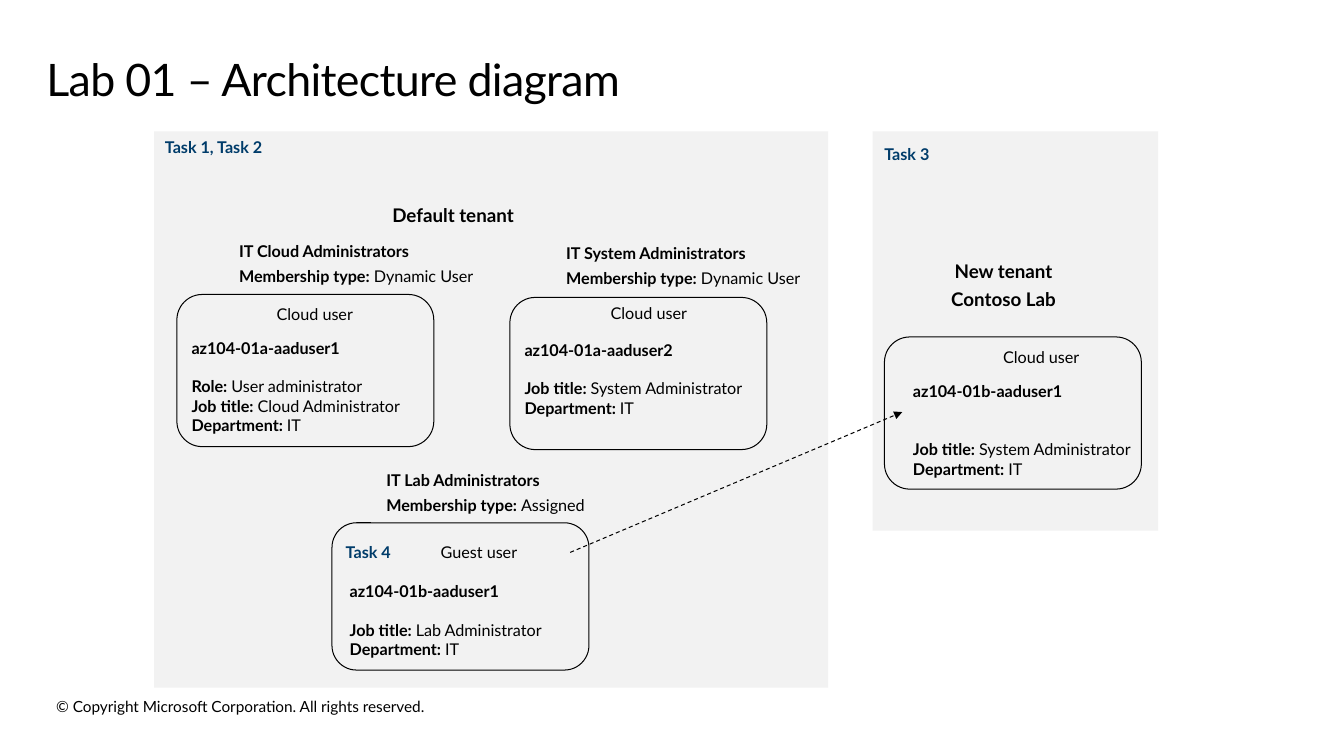
from lxml import etree
from pptx import Presentation
from pptx.dml.color import RGBColor
from pptx.enum.dml import MSO_LINE
from pptx.enum.shapes import MSO_CONNECTOR, MSO_SHAPE
from pptx.enum.text import MSO_ANCHOR, MSO_AUTO_SIZE, PP_ALIGN
from pptx.oxml.ns import qn
from pptx.util import Inches, Pt

RECTANGLE, ROUNDED = MSO_SHAPE.RECTANGLE, MSO_SHAPE.ROUNDED_RECTANGLE
LEFT, CENTER = PP_ALIGN.LEFT, PP_ALIGN.CENTER
BLACK = RGBColor(0x00, 0x00, 0x00)
NAVY = RGBColor(0x00, 0x3C, 0x6A)
PANEL_GRAY = RGBColor(0xF2, 0xF2, 0xF2)
FONT = "Lato"
BODY_SIZE, TENANT_SIZE = 11.8, 13.7
BLANK_LINE = 14.2  # points
NARROW_INSETS, WIDE_INSETS = (0.1, 0.05), (0.2, 0.16)
CARD_WIDTH = 2.6

# Content: boxes are (left, top, width, height) in inches
TITLE = "Lab 01 – Architecture diagram"
COPYRIGHT = "© Copyright Microsoft Corporation. All rights reserved."
PANELS = [(8.83, 1.33, 2.89, 4.04), (1.56, 1.33, 6.82, 5.63)]
TASKS = [("Task 1, Task 2", 1.57, 1.34), ("Task 3", 8.85, 1.41), ("Task 4", 3.4, 5.44)]
TENANTS = [
    (["Default tenant"], (3.77, 1.93, 2.69, 0.52), LEFT),
    (["New tenant", "Contoso Lab"], (8.81, 2.49, 2.69, 0.82), CENTER),
]
GROUPS = [
    ("IT Cloud Administrators", "Dynamic User", (2.22, 2.3, 2.93, 0.76)),
    ("IT System Administrators", "Dynamic User", (5.53, 2.32, 3.03, 0.76)),
    ("IT Lab Administrators", "Assigned", (3.71, 4.62, 2.69, 0.76)),
]
# Each user: card (left, top, height), kind box, details (left, top), blank lines
USERS = [
    dict(name="az104-01a-aaduser1", kind="Cloud user", card=(1.79, 2.98, 1.54),
         kind_box=(2.6, 2.94, 1.57, 0.49), details=(1.84, 3.37), blanks=1,
         facts=[("Role: ", "User administrator"),
                ("Job title: ", "Cloud Administrator"), ("Department: ", "IT")]),
    dict(name="az104-01a-aaduser2", kind="Cloud user", card=(5.16, 3.01, 1.54),
         kind_box=(5.98, 2.93, 1.34, 0.49), details=(5.21, 3.39), blanks=1,
         facts=[("Job title: ", "System Administrator"), ("Department: ", "IT")]),
    dict(name="az104-01b-aaduser1", kind="Guest user", card=(3.36, 5.29, 1.49),
         kind_box=(4.26, 5.35, 1.51, 0.49), details=(3.44, 5.83), blanks=1,
         facts=[("Job title: ", "Lab Administrator"), ("Department: ", "IT")]),
    dict(name="az104-01b-aaduser1", kind="Cloud user", card=(8.95, 3.41, 1.54),
         kind_box=(9.95, 3.38, 1.41, 0.49), details=(9.14, 3.81), blanks=2,
         facts=[("Job title: ", "System Administrator"), ("Department: ", "IT")]),
]
INVITE_ARROW = (5.77, 5.59, 9.13, 4.17)


def inches(values):
    return [Inches(value) for value in values]


def add_run(paragraph, text, size, bold=False, color=BLACK):
    run = paragraph.add_run()
    run.text = text
    run.font.name = FONT
    run.font.size = Pt(size)
    run.font.bold = bold
    run.font.color.rgb = color
    return run


def set_frame(frame, left, top, right, bottom):
    frame.word_wrap = True
    frame.auto_size = MSO_AUTO_SIZE.NONE
    frame.vertical_anchor = MSO_ANCHOR.TOP
    frame.margin_left, frame.margin_top = Inches(left), Inches(top)
    frame.margin_right, frame.margin_bottom = Inches(right), Inches(bottom)


def add_text(slide, box, lines, size=BODY_SIZE, color=BLACK, align=LEFT, wide=False):
    """Each line is a list of (text, bold) runs; wide boxes use the label spacing."""
    frame = slide.shapes.add_textbox(*inches(box)).text_frame
    insets = WIDE_INSETS if wide else NARROW_INSETS
    set_frame(frame, *insets, *insets)
    for index, line in enumerate(lines):
        paragraph = frame.add_paragraph() if index else frame.paragraphs[0]
        paragraph.alignment = align
        if wide:
            paragraph.line_spacing = 0.9
            paragraph.space_after = Pt(5.9)
        for text, bold in line:
            add_run(paragraph, text, size, bold, color)
    return frame


def add_box(slide, kind, box, fill=None, line=None):
    shape = slide.shapes.add_shape(kind, *inches(box))
    shape.shadow.inherit = False
    if fill is None:
        shape.fill.background()
    else:
        shape.fill.solid()
        shape.fill.fore_color.rgb = fill
    if line is None:
        shape.line.fill.background()
    else:
        shape.line.color.rgb = line
        shape.line.width = Pt(0.75)


def add_user(slide, user):
    left, top, height = user["card"]
    add_box(slide, ROUNDED, (left, top, CARD_WIDTH, height), line=BLACK)
    add_text(slide, user["kind_box"], [[(user["kind"], False)]], wide=True)
    lines = [[(user["name"], True)]]
    lines += [[(label, True), (value, False)] for label, value in user["facts"]]
    details_height = 0.1 + 0.2 * (len(lines) + user["blanks"])
    frame = add_text(slide, (*user["details"], CARD_WIDTH, details_height), lines)
    frame.paragraphs[1].space_before = Pt(BLANK_LINE * user["blanks"])


def add_dashed_arrow(slide, ends):
    arrow = slide.shapes.add_connector(MSO_CONNECTOR.STRAIGHT, *inches(ends))
    arrow.line.color.rgb = BLACK
    arrow.line.width = Pt(0.75)
    arrow.line.dash_style = MSO_LINE.DASH
    properties = arrow.element.spPr
    etree.SubElement(properties.find(qn("a:ln")), qn("a:tailEnd"), type="triangle")
    etree.SubElement(properties, qn("a:effectLst"))


def main():
    presentation = Presentation()
    presentation.slide_width, presentation.slide_height = Inches(13.6), Inches(7.65)
    slide = presentation.slides.add_slide(presentation.slide_layouts[5])

    # Title and copyright line
    title = slide.shapes.title
    title.left, title.top, title.width, title.height = inches((0.47, 0.49, 12.65, 0.76))
    set_frame(title.text_frame, 0, 0.1, 0.16, 0.1)
    paragraph = title.text_frame.paragraphs[0]
    paragraph.alignment = LEFT
    paragraph.line_spacing = 0.9
    run = add_run(paragraph, TITLE, 32.6)
    run.font._element.set("spc", "-50")
    add_text(slide, (0.47, 7.01, 6.8, 0.3), [[(COPYRIGHT, False)]], size=11.2)

    # Tenant panels and their names
    for box in PANELS:
        add_box(slide, RECTANGLE, box, fill=PANEL_GRAY)
    for names, box, align in TENANTS:
        add_text(slide, box, [[(name, True)] for name in names],
                 size=TENANT_SIZE, align=align, wide=True)

    # Groups, users and task labels
    for name, membership, box in GROUPS:
        add_text(slide, box, [[(name, True)],
                              [("Membership type: ", True), (membership, False)]], wide=True)
    for user in USERS:
        add_user(slide, user)
    for task, left, top in TASKS:
        add_text(slide, (left, top, 1.42, 0.3), [[(task, True)]], color=NAVY)

    # Guest invitation
    add_dashed_arrow(slide, INVITE_ARROW)
    presentation.save("out.pptx")


if __name__ == "__main__":
    main()
